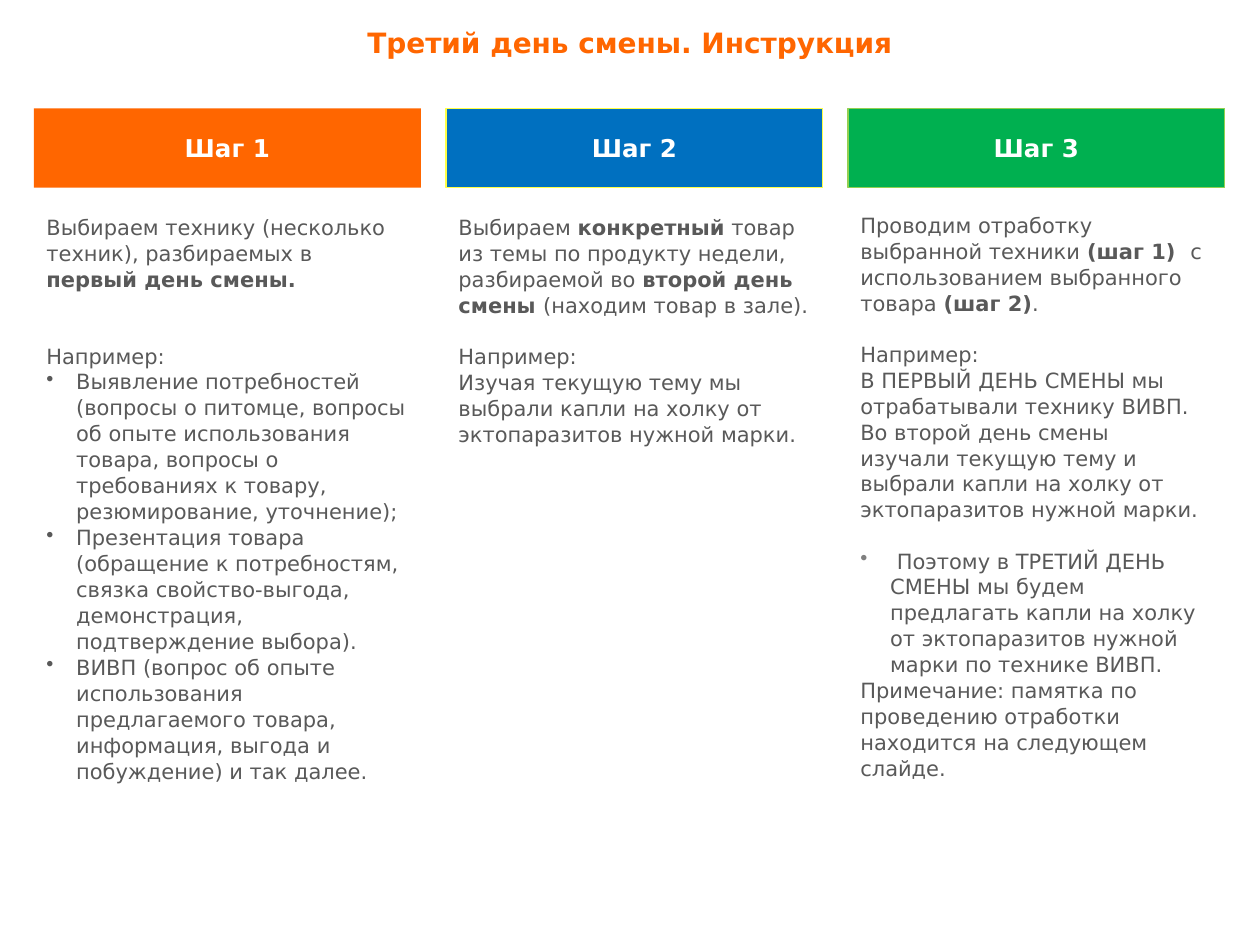
from dataclasses import dataclass
from typing import Optional

from lxml.etree import SubElement
from pptx import Presentation
from pptx.dml.color import RGBColor
from pptx.enum.shapes import MSO_SHAPE
from pptx.enum.text import MSO_ANCHOR, MSO_AUTO_SIZE, PP_ALIGN
from pptx.oxml.ns import qn
from pptx.util import Inches, Pt

WIDTH, HEIGHT = Inches(10), Inches(7.5)
COLUMN, ROW = WIDTH // 1000, HEIGHT // 750
HEADER_TOP, HEADER_HEIGHT = 86, 63
FONT = "DejaVu Sans"
BODY_SIZE, BODY_LINE = 12, 14.4
LINE_SPACING = 1.03
BULLET_INDENT = Pt(17)

ORANGE = RGBColor(0xFF, 0x66, 0x00)
BLUE = RGBColor(0x00, 0x70, 0xC0)
GREEN = RGBColor(0x00, 0xB0, 0x50)
YELLOW = RGBColor(0xFF, 0xFF, 0x47)
LIME = RGBColor(0x92, 0xD0, 0x50)
WHITE = RGBColor(0xFF, 0xFF, 0xFF)
DARK_GRAY = RGBColor(0x59, 0x59, 0x59)
GRAY = RGBColor(0x80, 0x80, 0x80)


@dataclass(frozen=True)
class Span:
    text: str
    bold: bool = False
    color: RGBColor = DARK_GRAY


@dataclass(frozen=True)
class Para:
    spans: tuple[Span, ...]
    lines_before: int = 0
    bullet: Optional[RGBColor] = None


@dataclass(frozen=True)
class Step:
    heading: str
    left: int
    width: int
    fill: RGBColor
    outline: Optional[RGBColor]
    body_top: int
    body_width: int
    body_height: int
    paras: tuple[Para, ...]


def plain(text: str, lines_before: int = 0, bullet: Optional[RGBColor] = None) -> Para:
    return Para((Span(text),), lines_before, bullet)


STEPS = (
    Step("Шаг 1", 27, 307, ORANGE, None, 165, 307, 496, (
        Para((
            Span("Выбираем технику (несколько техник), разбираемых в "),
            Span("первый день смены.", True),
        )),
        plain("Например:", 2),
        plain("Выявление потребностей (вопросы о питомце, вопросы об опыте "
              "использования товара, вопросы о требованиях к товару, "
              "резюмирование, уточнение);", bullet=DARK_GRAY),
        plain("Презентация товара (обращение к потребностям, связка "
              "свойство-выгода, демонстрация, подтверждение выбора).",
              bullet=DARK_GRAY),
        plain("ВИВП (вопрос об опыте использования предлагаемого товара, "
              "информация, выгода и побуждение) и так далее.",
              bullet=DARK_GRAY),
    )),
    Step("Шаг 2", 354, 299, BLUE, YELLOW, 165, 299, 299, (
        Para((
            Span("Выбираем "),
            Span("конкретный", True),
            Span(" товар из темы по продукту недели, разбираемой во "),
            Span("второй день смены ", True),
            Span("(находим товар в зале)."),
        )),
        plain("Например:", 1),
        plain("Изучая текущую тему мы выбрали капли на холку от "
              "эктопаразитов нужной марки."),
    )),
    Step("Шаг 3", 673, 299, GREEN, LIME, 163, 291, 496, (
        Para((
            Span("Проводим отработку выбранной техники "),
            Span("(шаг 1)  ", True),
            Span("с использованием выбранного товара "),
            Span("(шаг 2)", True),
            Span("."),
        )),
        plain("Например:", 1),
        plain("В ПЕРВЫЙ ДЕНЬ СМЕНЫ мы отрабатывали технику ВИВП. Во второй "
              "день смены изучали текущую тему и выбрали капли на холку от "
              "эктопаразитов нужной марки."),
        Para((
            Span(" ", color=GRAY),
            Span("Поэтому в ТРЕТИЙ ДЕНЬ СМЕНЫ мы будем предлагать капли на "
                 "холку от эктопаразитов нужной марки по технике ВИВП."),
        ), 1, GRAY),
        plain("Примечание: памятка по проведению отработки находится на "
              "следующем слайде."),
    )),
)


def add_span(paragraph, span: Span, size: float) -> None:
    run = paragraph.add_run()
    run.text = span.text
    run.font.name = FONT
    run.font.size = Pt(size)
    run.font.bold = span.bold
    run.font.color.rgb = span.color


def add_bullet(paragraph, color: RGBColor) -> None:
    properties = paragraph._p.get_or_add_pPr()
    properties.set("marL", str(BULLET_INDENT))
    properties.set("indent", str(-BULLET_INDENT))
    bullet_color = SubElement(properties, qn("a:buClr"))
    SubElement(bullet_color, qn("a:srgbClr")).set("val", str(color))
    SubElement(properties, qn("a:buChar")).set("char", "•")


def add_heading(page, step: Step) -> None:
    box = page.shapes.add_shape(
        MSO_SHAPE.RECTANGLE, step.left * COLUMN, HEADER_TOP * ROW,
        step.width * COLUMN, HEADER_HEIGHT * ROW)
    box.shadow.inherit = False
    box.fill.solid()
    box.fill.fore_color.rgb = step.fill
    if step.outline is None:
        box.line.fill.background()
    else:
        box.line.color.rgb = step.outline
        box.line.width = Pt(0.75)
    box.text_frame.vertical_anchor = MSO_ANCHOR.MIDDLE
    paragraph = box.text_frame.paragraphs[0]
    paragraph.alignment = PP_ALIGN.CENTER
    add_span(paragraph, Span(step.heading, True, WHITE), 14)


def add_body(page, step: Step) -> None:
    box = page.shapes.add_textbox(
        step.left * COLUMN, step.body_top * ROW,
        step.body_width * COLUMN, step.body_height * ROW)
    frame = box.text_frame
    frame.word_wrap = True
    for index, para in enumerate(step.paras):
        paragraph = frame.add_paragraph() if index else frame.paragraphs[0]
        if para.bullet is not None:
            add_bullet(paragraph, para.bullet)
        paragraph.line_spacing = LINE_SPACING
        if para.lines_before:
            paragraph.space_before = Pt(para.lines_before * BODY_LINE)
        for span in para.spans:
            add_span(paragraph, span, BODY_SIZE)


def format_title(page, text: str) -> None:
    title = page.shapes.title
    title.left, title.top = 0, 15 * ROW
    title.width, title.height = WIDTH, 37 * ROW
    frame = title.text_frame
    frame.word_wrap = True
    frame.auto_size = MSO_AUTO_SIZE.NONE
    frame.vertical_anchor = MSO_ANCHOR.MIDDLE
    paragraph = frame.paragraphs[0]
    paragraph.alignment = PP_ALIGN.CENTER
    add_span(paragraph, Span(text, True, ORANGE), 16)


def main() -> None:
    deck = Presentation()
    deck.slide_width, deck.slide_height = WIDTH, HEIGHT
    page = deck.slides.add_slide(deck.slide_layouts.get_by_name("Title Only"))
    format_title(page, "Третий день смены. Инструкция")
    for step in STEPS:
        add_heading(page, step)
        add_body(page, step)
    deck.save("out.pptx")


if __name__ == "__main__":
    main()
